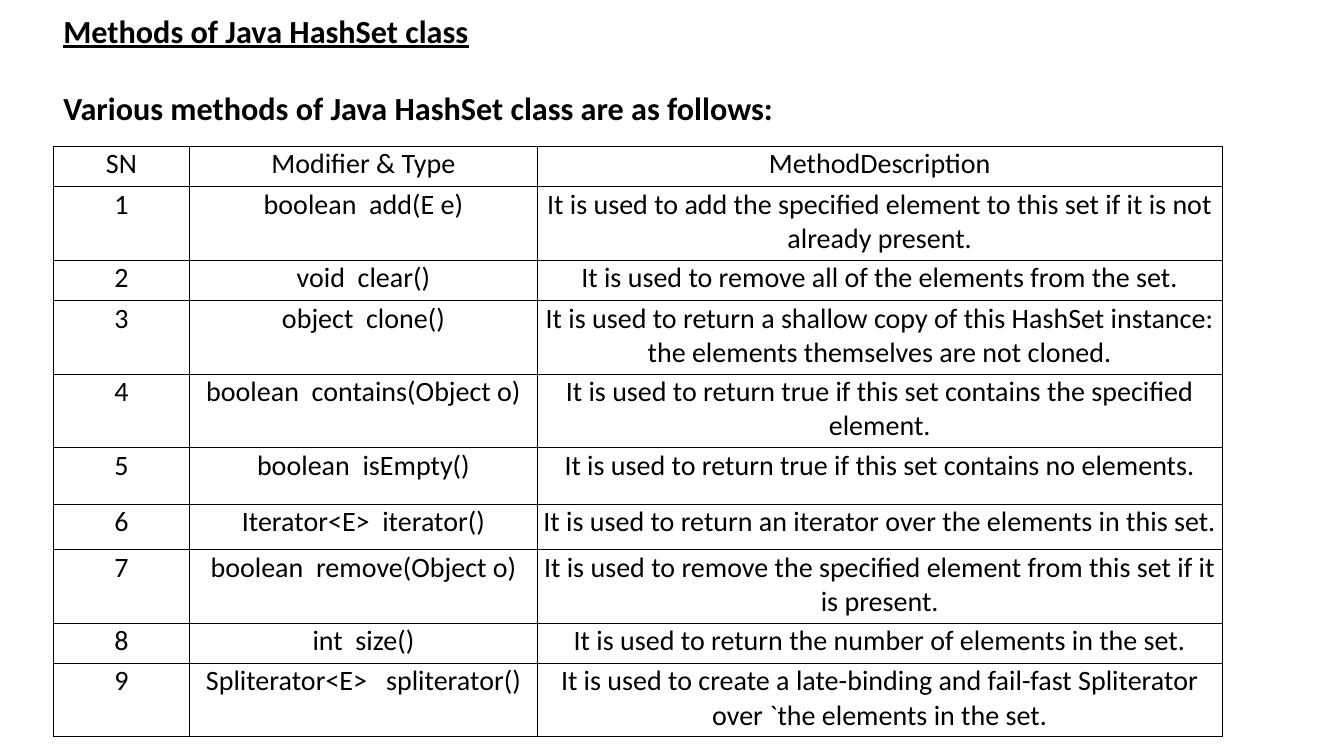
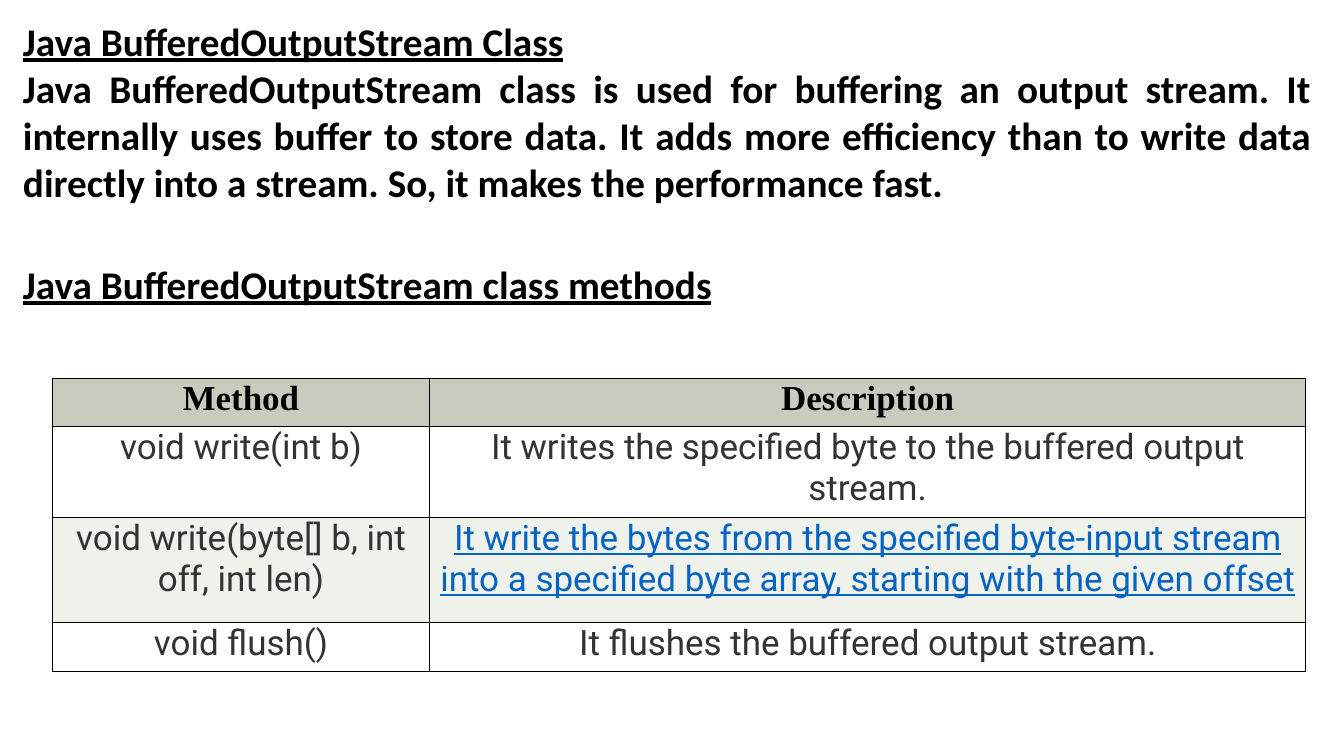
from dataclasses import dataclass
from lxml import etree
from pptx import Presentation
from pptx.dml.color import RGBColor
from pptx.enum.text import MSO_ANCHOR, PP_ALIGN
from pptx.oxml.ns import qn
from pptx.util import Pt

PX = 9144  # EMU per px, 100 px to the inch
WIDE, HIGH = 1333, 750
LEFT, MID, FULL = PP_ALIGN.LEFT, PP_ALIGN.CENTER, PP_ALIGN.JUSTIFY
TOP = MSO_ANCHOR.TOP


@dataclass(frozen=True)
class Theme:
    black: str = "000000"
    grey: str = "333333"
    blue: str = "0563C1"
    head: str = "C7CCBE"
    band: str = "EFF1EB"
    white: str = "FFFFFF"
    sans: str = "Calibri"
    body: str = "Roboto"
    serif: str = "Times New Roman"
    rule: float = 0.5


T = Theme()


@dataclass(frozen=True)
class Style:
    font: str
    size: int
    color: str = T.black
    bold: bool = False
    under: bool = False


# Text styles
SUB = Style(T.sans, 23, bold=True)
SUB_LINE = Style(T.sans, 23, bold=True, under=True)
BIG = Style(T.sans, 28, bold=True)
BIG_LINE = Style(T.sans, 28, bold=True, under=True)
PLAIN = Style(T.sans, 20)
HEAD = Style(T.serif, 25, bold=True)
CELL = Style(T.body, 25, T.grey)
LINK = Style(T.body, 25, T.blue, under=True)

# Content: row height in px, then the cells
SET_COLS = (135, 345, 679)
SET_ROWS = [
    (40, "SN", "Modifier & Type", "MethodDescription"),
    (73, "1", "boolean  add(E e)",
     "It is used to add the specified element to this set if it is not already present."),
    (40, "2", "void  clear()",
     "It is used to remove all of the elements from the set."),
    (73, "3", "object  clone()",
     "It is used to return a shallow copy of this HashSet instance: "
     "the elements themselves are not cloned."),
    (73, "4", "boolean  contains(Object o)",
     "It is used to return true if this set contains the specified element."),
    (56, "5", "boolean  isEmpty()",
     "It is used to return true if this set contains no elements."),
    (45, "6", "Iterator<E>  iterator()",
     "It is used to return an iterator over the elements in this set."),
    (73, "7", "boolean  remove(Object o)",
     "It is used to remove the specified element from this set if it is present."),
    (40, "8", "int  size()",
     "It is used to return the number of elements in the set."),
    (73, "9", "Spliterator<E>   spliterator()",
     "It is used to create a late-binding and fail-fast Spliterator "
     "over `the elements in the set."),
]
SET_TEXT = [
    ("Methods of Java HashSet class", SUB_LINE, 0),
    ("Various methods of Java HashSet class are as follows:", SUB, 28),
]

OUT_COLS = (374, 869)
OUT_ROWS = [
    (48, "Method", "Description"),
    (90, "void write(int b)",
     "It writes the specified byte to the buffered output stream."),
    (104, "void write(byte[] b, int off, int len)",
     "It write the bytes from the specified byte-input stream into a "
     "specified byte array, starting with the given offset"),
    (49, "void flush()", "It flushes the buffered output stream."),
]
OUT_TEXT = [
    ("Java BufferedOutputStream Class", BIG_LINE, 0),
    ("Java BufferedOutputStream class is used for buffering an output stream. "
     "It internally uses buffer to store data. It adds more efficiency than to "
     "write data directly into a stream. So, it makes the performance fast.", BIG, 0),
]
OUT_SUB = [("Java BufferedOutputStream class methods", BIG_LINE, 0)]


def write(para, text, style, align):
    para.text = text
    para.alignment = align
    font = para.font
    font.name, font.size = style.font, Pt(style.size)
    font.bold, font.underline = style.bold, style.under
    font.color.rgb = RGBColor.from_string(style.color)


def add_text(slide, box, paras, align=LEFT):
    frame = slide.shapes.add_textbox(*(n * PX for n in box)).text_frame
    frame.word_wrap = True
    for i, (text, style, gap) in enumerate(paras):
        para = frame.add_paragraph() if i else frame.paragraphs[0]
        write(para, text, style, align)
        if gap:
            para.space_before = Pt(gap)


def outline(cell):
    props = cell._tc.get_or_add_tcPr()
    for i, side in enumerate(("lnL", "lnR", "lnT", "lnB")):
        line = etree.Element(qn("a:" + side), w=str(Pt(T.rule)))
        fill = etree.SubElement(line, qn("a:solidFill"))
        etree.SubElement(fill, qn("a:srgbClr"), val=T.black)
        props.insert(i, line)


def add_grid(slide, left, top, cols, rows, look):
    """look(row, col) gives the text style and the fill, or None for no fill."""
    high = sum(row[0] for row in rows)
    table = slide.shapes.add_table(
        len(rows), len(cols), left * PX, top * PX, sum(cols) * PX, high * PX).table
    table.horz_banding = False
    for col, wide in zip(table.columns, cols):
        col.width = wide * PX
    for r, (tall, *texts) in enumerate(rows):
        table.rows[r].height = tall * PX
        for c, text in enumerate(texts):
            cell = table.cell(r, c)
            style, fill = look(r, c)
            cell.margin_left = cell.margin_right = cell.margin_top = PX
            cell.margin_bottom = 5 * PX
            cell.vertical_anchor = TOP
            if fill:
                cell.fill.solid()
                cell.fill.fore_color.rgb = RGBColor.from_string(fill)
            else:
                cell.fill.background()
            outline(cell)
            write(cell.text_frame.paragraphs[0], text, style, MID)


def set_look(row, col):
    return PLAIN, None


def out_look(row, col):
    if row == 0:
        return HEAD, T.head
    style = LINK if (row, col) == (2, 1) else CELL
    return style, T.white if row % 2 else T.band


def main():
    deck = Presentation()
    deck.slide_width, deck.slide_height = WIDE * PX, HIGH * PX
    blank = deck.slide_layouts[6]

    # HashSet methods
    slide = deck.slides.add_slide(blank)
    add_text(slide, (53, 6, 1236, 127), SET_TEXT)
    add_grid(slide, 53, 145, SET_COLS, SET_ROWS, set_look)

    # BufferedOutputStream class
    slide = deck.slides.add_slide(blank)
    add_text(slide, (13, 12, 1297, 198), OUT_TEXT, FULL)
    add_text(slide, (13, 253, 1267, 57), OUT_SUB)
    add_grid(slide, 52, 375, OUT_COLS, OUT_ROWS, out_look)

    deck.save("out.pptx")


if __name__ == "__main__":
    main()
